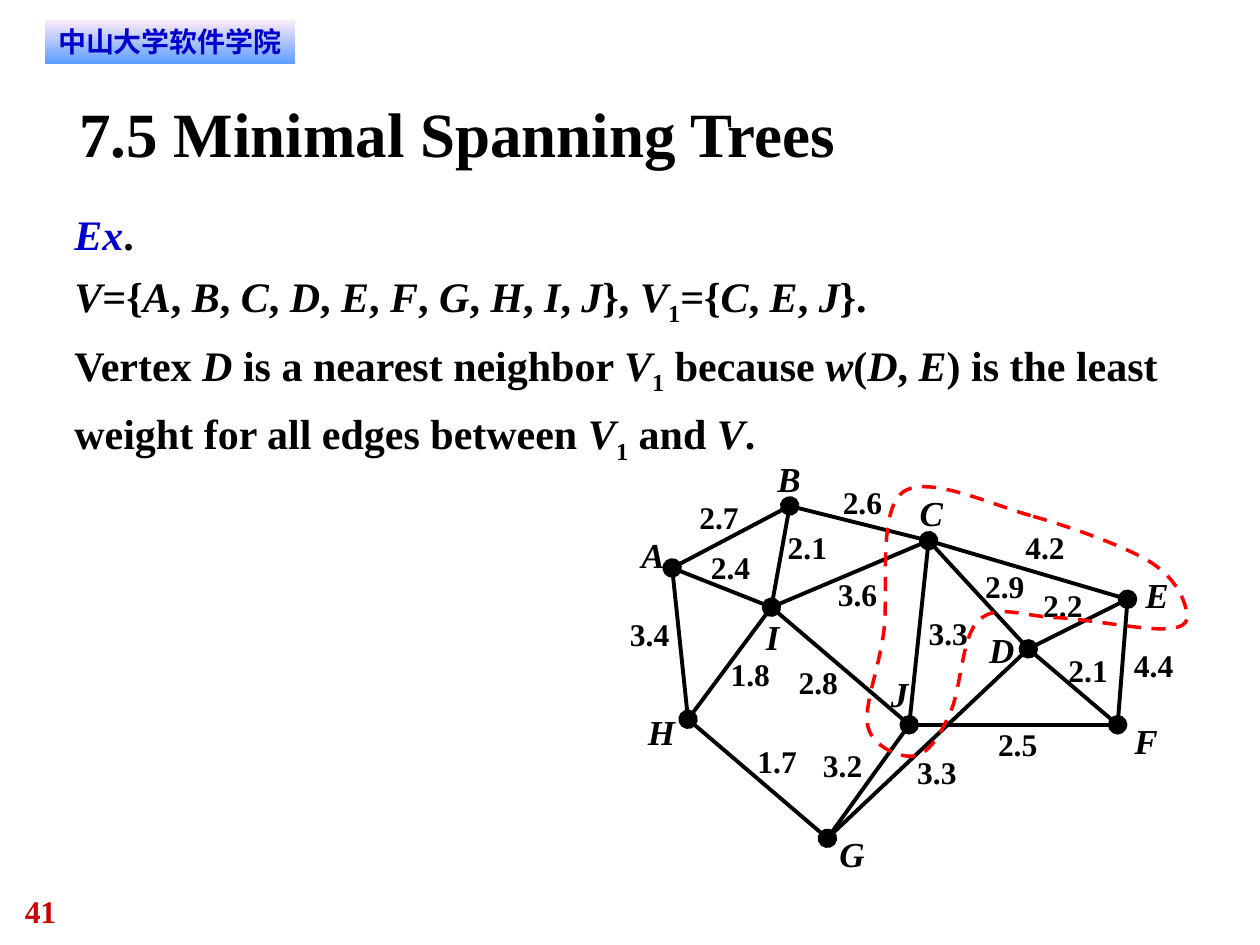
from dataclasses import dataclass

from lxml import etree
from pptx import Presentation
from pptx.dml.color import RGBColor
from pptx.enum.dml import MSO_LINE
from pptx.enum.shapes import MSO_CONNECTOR, MSO_SHAPE
from pptx.enum.text import MSO_ANCHOR, MSO_AUTO_SIZE, PP_ALIGN
from pptx.oxml.ns import qn
from pptx.util import Cm, Pt

RECTANGLE = MSO_SHAPE.RECTANGLE
STRAIGHT = MSO_CONNECTOR.STRAIGHT
DASH = MSO_LINE.DASH
TOP, MIDDLE = MSO_ANCHOR.TOP, MSO_ANCHOR.MIDDLE
FIT_TEXT = MSO_AUTO_SIZE.SHAPE_TO_FIT_TEXT
LEFT, CENTER = PP_ALIGN.LEFT, PP_ALIGN.CENTER


@dataclass(frozen=True)
class Theme:
    font: str = "Times New Roman"
    banner_font: str = "DejaVu Sans"
    ink: RGBColor = RGBColor(0x00, 0x00, 0x00)
    accent: RGBColor = RGBColor(0x00, 0x00, 0xCC)
    page_number: RGBColor = RGBColor(0xCC, 0x00, 0x00)
    cut: RGBColor = RGBColor(0xFF, 0x00, 0x00)
    banner_top: RGBColor = RGBColor(0xFF, 0xEB, 0xFA)
    banner_bottom: RGBColor = RGBColor(0x5E, 0x9E, 0xFF)
    title_size: Pt = Pt(36)
    body_size: Pt = Pt(24)
    vertex_size: Pt = Pt(20)
    small_size: Pt = Pt(18)
    banner_size: Pt = Pt(16)
    edge_width: Pt = Pt(2.25)
    cut_width: Pt = Pt(2)


THEME = Theme()

STATEMENTS = [
    ("*Ex*.", THEME.accent),
    ("*V*={*A*, *B*, *C*, *D*, *E*, *F*, *G*, *H*, *I*, *J*}, "
     "*V*_1_={*C*, *E*, *J*}.", THEME.ink),
    ("Vertex *D* is a nearest neighbor *V*_1_ because *w*(*D*, *E*) is the "
     "least weight for all edges between *V*_1_ and *V*.", THEME.ink),
]

# name: centre, label corner, label width
VERTICES = {
    "A": ((13.55, 11.45), (12.93, 10.75), 0.48),
    "B": ((15.92, 10.2), (15.67, 9.22), 0.48),
    "C": ((18.72, 10.9), (18.54, 9.91), 0.48),
    "D": ((20.73, 13.08), (19.94, 12.68), 0.51),
    "E": ((22.73, 12.08), (23.09, 11.56), 0.48),
    "F": ((22.53, 14.61), (22.87, 14.5), 0.48),
    "G": ((16.68, 16.9), (16.92, 16.79), 0.51),
    "H": ((13.87, 14.5), (13.06, 14.33), 0.56),
    "I": ((15.55, 12.24), (15.44, 12.4), 0.28),
    "J": ((18.33, 14.61), (17.96, 13.55), 0.36),
}

EDGES = [
    ("CD", "2.9", (19.86, 11.43)), ("ED", "2.2", (21.03, 11.81)),
    ("CE", "4.2", (20.67, 10.64)), ("DF", "2.1", (21.54, 13.13)),
    ("JF", "2.5", (20.12, 14.61)), ("EF", "4.4", (22.86, 13.02)),
    ("CJ", "3.3", (18.72, 12.37)), ("BC", "2.6", (16.99, 9.74)),
    ("BI", "2.1", (15.88, 10.64)), ("CI", "3.6", (16.89, 11.59)),
    ("IJ", "2.8", (16.1, 13.37)), ("BA", "2.7", (14.1, 10.03)),
    ("AI", "2.4", (14.33, 11.05)), ("AH", "3.4", (12.7, 12.4)),
    ("IH", "1.8", (14.73, 13.21)), ("HG", "1.7", (15.27, 14.96)),
    ("JG", "3.2", (16.59, 15.03)), ("DG", "3.3", (18.49, 15.18)),
]
DOTTED_EDGES = {"ED", "JF", "BC", "AI", "HG"}

CUT_START = (20.83, 10.41)
CUT_CURVES = [
    (21.64, 10.64), (22.61, 11), (23.11, 11.28),
    (23.62, 11.58), (23.8, 11.94), (23.88, 12.17),
    (23.95, 12.4), (24.03, 12.62), (23.6, 12.67),
    (23.14, 12.73), (21.89, 12.47), (21.26, 12.45),
    (20.62, 12.42), (20.09, 12.17), (19.74, 12.5),
    (19.38, 12.8), (19.38, 13.92), (19.15, 14.38),
    (18.95, 14.83), (18.72, 15.19), (18.44, 15.24),
    (18.16, 15.29), (17.6, 15.06), (17.5, 14.66),
    (17.4, 14.25), (17.7, 13.56), (17.81, 12.78),
    (17.93, 11.99), (17.68, 10.34), (18.19, 9.93),
    (18.69, 9.55), (20.02, 10.19), CUT_START,
]


def apply(target, formats):
    for name, value in formats.items():
        setattr(target, name, value)


def add_run(paragraph, text, size, color=THEME.ink, italic=False, font=THEME.font):
    run = paragraph.add_run()
    run.text = text
    apply(run.font, {"name": font, "size": size, "bold": True, "italic": italic})
    run.font.color.rgb = color
    return run


def add_text_box(shapes, corner, size, wrap=True):
    frame = shapes.add_textbox(*map(Cm, corner + size)).text_frame
    apply(frame, {
        "margin_left": 0, "margin_top": 0, "margin_right": 0, "margin_bottom": 0,
        "auto_size": FIT_TEXT, "word_wrap": wrap, "vertical_anchor": TOP,
    })
    return frame


def add_label(shapes, text, corner, size, type_size, wrap=False, **style):
    paragraph = add_text_box(shapes, corner, size, wrap).paragraphs[0]
    paragraph.alignment = LEFT
    add_run(paragraph, text, type_size, **style)


def add_banner(shapes, text):
    banner = shapes.add_shape(RECTANGLE, Cm(0.9), Cm(0.4), Cm(5.05), Cm(0.88))
    banner.shadow.inherit = False
    banner.line.fill.background()
    banner.fill.gradient()
    banner.fill.gradient_angle = 270
    colors = (THEME.banner_top, THEME.banner_bottom)
    for position, (stop, color) in enumerate(zip(banner.fill.gradient_stops, colors)):
        stop.position = position
        stop.color.rgb = color
    apply(banner.text_frame, {
        "margin_left": Cm(0.2), "margin_top": Cm(0.1),
        "margin_right": Cm(0.2), "margin_bottom": Cm(0.1),
        "word_wrap": True, "vertical_anchor": MIDDLE,
    })
    paragraph = banner.text_frame.paragraphs[0]
    paragraph.alignment = CENTER
    add_run(paragraph, text, THEME.banner_size, THEME.accent, font=THEME.banner_font)


def add_statements(shapes):
    frame = add_text_box(shapes, (1.5, 4), (22.73, 5.38))
    for index, (statement, italic_color) in enumerate(STATEMENTS):
        paragraph = frame.add_paragraph() if index else frame.paragraphs[0]
        apply(paragraph, {"alignment": LEFT, "line_spacing": 1.2})
        for part_index, part in enumerate(statement.split("*")):
            italic = part_index % 2 == 1
            color = italic_color if italic else THEME.ink
            for piece_index, piece in enumerate(part.split("_")):
                if piece:
                    run = add_run(paragraph, piece, THEME.body_size, color, italic)
                    if piece_index % 2:
                        run.font._element.set("baseline", "-25000")


def add_edge(shapes, ends):
    start, finish = (VERTICES[name][0] for name in ends)
    edge = shapes.add_connector(STRAIGHT, *map(Cm, start + finish))
    edge.line.color.rgb = THEME.ink
    edge.line.width = THEME.edge_width
    if ends in DOTTED_EDGES:
        for tag in ("a:headEnd", "a:tailEnd"):
            etree.SubElement(edge.line._get_or_add_ln(), qn(tag),
                             type="oval", w="lg", len="lg")
    etree.SubElement(edge._element.spPr, qn("a:effectLst"))


def add_graph(shapes):
    for ends, weight, corner in EDGES:
        add_edge(shapes, ends)
        add_label(shapes, weight, corner, (0.8, 0.76), THEME.small_size)
    for name, (_, corner, width) in VERTICES.items():
        add_label(shapes, name, corner, (width, 0.84), THEME.vertex_size, italic=True)


def add_cut(shapes):
    builder = shapes.build_freeform(*map(Cm, CUT_START))
    builder.add_line_segments([(Cm(x), Cm(y)) for x, y in CUT_CURVES], close=True)
    cut = builder.convert_to_shape()
    cut.shadow.inherit = False
    cut.fill.background()
    apply(cut.line, {"width": THEME.cut_width, "dash_style": DASH})
    cut.line.color.rgb = THEME.cut
    segments = cut._element.xpath(".//a:lnTo")
    for first in range(0, len(segments), 3):
        curve = etree.Element(qn("a:cubicBezTo"))
        segments[first].addprevious(curve)
        for segment in segments[first:first + 3]:
            curve.append(segment[0])
            segment.getparent().remove(segment)


def main():
    deck = Presentation()
    apply(deck, {"slide_width": Cm(25.4), "slide_height": Cm(19.05)})
    shapes = deck.slides.add_slide(deck.slide_layouts[6]).shapes
    add_label(shapes, "41", (0.5, 17.99), (1.9, 0.76), THEME.small_size,
              wrap=True, color=THEME.page_number)
    add_banner(shapes, "中山大学软件学院")
    add_label(shapes, "7.5 Minimal Spanning Trees", (1.6, 1.9), (22.23, 1.52),
              THEME.title_size, wrap=True)
    add_statements(shapes)
    add_graph(shapes.add_group_shape().shapes)
    add_cut(shapes)
    deck.save("out.pptx")


if __name__ == "__main__":
    main()
